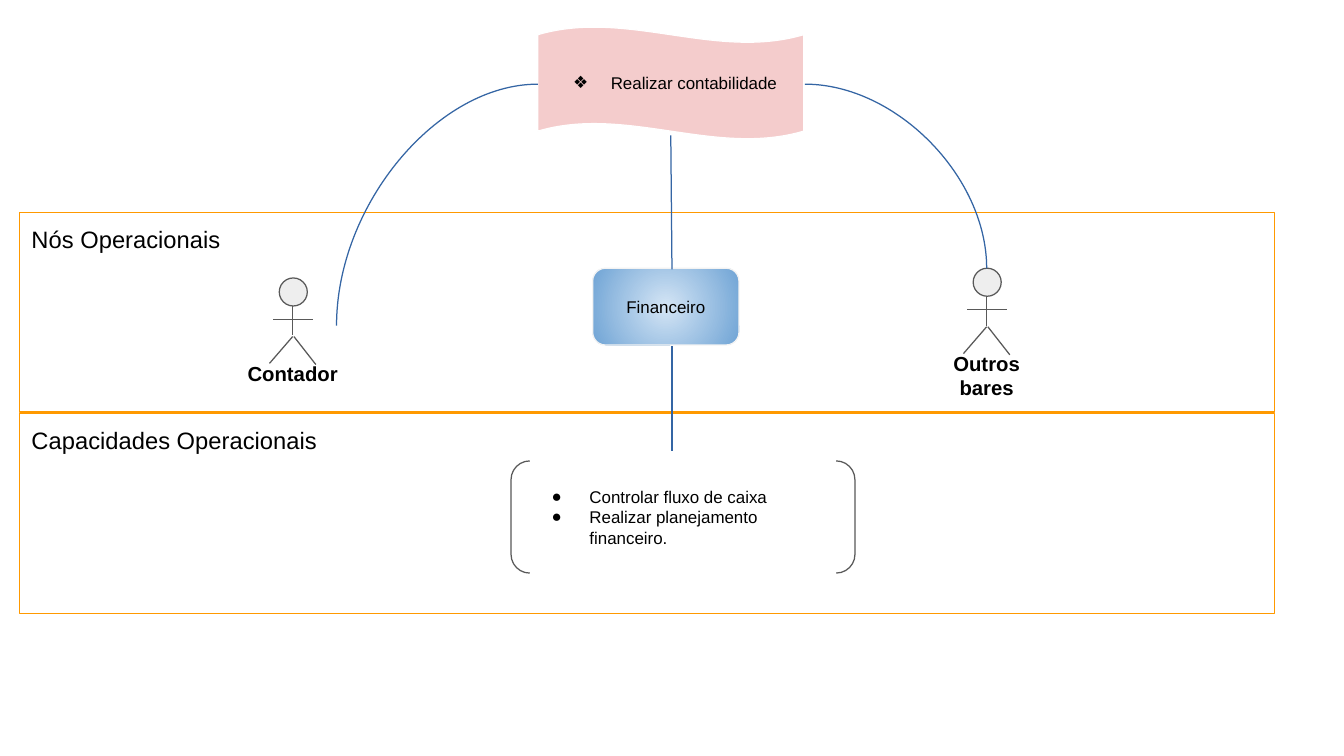
from pptx import Presentation
from pptx.util import Inches, Pt
from pptx.dml.color import RGBColor
from pptx.enum.shapes import MSO_SHAPE as SHAPE, MSO_CONNECTOR as LINK
from pptx.enum.text import PP_ALIGN as ALIGN, MSO_ANCHOR as ANCHOR
from pptx.oxml.ns import qn
from lxml.etree import SubElement

FONT = "Arial"
BLACK = RGBColor(0, 0, 0)
WHITE = RGBColor(255, 255, 255)
ORANGE = RGBColor(0xFF, 0x99, 0x00)
PINK = RGBColor(0xF4, 0xCC, 0xCC)
GRAY = RGBColor(0x59, 0x59, 0x59)
PALE = RGBColor(0xEE, 0xEE, 0xEE)
MIST = RGBColor(0xF3, 0xF3, 0xF3)
BLUE = RGBColor(0x34, 0x65, 0xA4)
LIGHT = RGBColor(0xD4, 0xE5, 0xF5)
SKY = RGBColor(0x70, 0xA4, 0xD5)
THIN = Pt(0.74)


def write(shape, text, size, align=ALIGN.LEFT, anchor=ANCHOR.MIDDLE, bold=False):
    frame = shape.text_frame
    frame.word_wrap = True
    frame.vertical_anchor = anchor
    frame.margin_left = frame.margin_right = Inches(0.1)
    frame.margin_top = frame.margin_bottom = Inches(0.1)
    frame.text = text
    for para in frame.paragraphs:
        para.alignment = align
        for run in para.runs:
            run.font.name = FONT
            run.font.size = Pt(size)
            run.font.bold = bold
            run.font.color.rgb = BLACK


def bullet(shape, mark):
    for para in shape.text_frame.paragraphs:
        props = para._p.get_or_add_pPr()
        props.set("marL", str(Inches(0.5)))
        props.set("indent", str(Inches(-0.31)))
        SubElement(props, qn("a:buFont"), typeface=FONT)
        SubElement(props, qn("a:buChar"), char=mark)


def draw(shapes, kind, left, top, width, height, line, fill=None, adj=None):
    shape = shapes.add_shape(kind, Inches(left), Inches(top), Inches(width), Inches(height))
    shape.shadow.inherit = False
    shape.line.color.rgb = line
    shape.line.width = THIN
    if fill is None:
        shape.fill.background()
    else:
        shape.fill.solid()
        shape.fill.fore_color.rgb = fill
    if adj is not None:
        shape.adjustments[0] = adj
    return shape


def glow(shape, inner, outer):
    fill = shape.fill
    fill.gradient()
    for stop, color, place in zip(fill.gradient_stops, (inner, outer), (0, 1)):
        stop.color.rgb = color
        stop.position = place
    grad = shape._element.spPr.find(qn("a:gradFill"))
    grad.remove(grad.find(qn("a:lin")))
    circle = SubElement(grad, qn("a:path"), path="circle")
    SubElement(circle, qn("a:fillToRect"), l="50000", t="50000", r="50000", b="50000")


def link(shapes, x1, y1, x2, y2, color, kind=LINK.STRAIGHT):
    line = shapes.add_connector(kind, Inches(x1), Inches(y1), Inches(x2), Inches(y2))
    line.line.color.rgb = color
    line.line.width = THIN
    props = line._element.spPr
    SubElement(props, qn("a:effectLst"))
    if kind == LINK.CURVE:
        props.find(qn("a:prstGeom")).set("prst", "curvedConnector2")


def lane(shapes, top, title):
    box = draw(shapes, SHAPE.RECTANGLE, 0.16, top, 10.29, 1.64, ORANGE)
    write(box, title, 14, anchor=ANCHOR.TOP)


def actor(shapes, mid, top, name):
    parts = shapes.add_group_shape().shapes
    draw(parts, SHAPE.FLOWCHART_CONNECTOR, mid - 0.11, top, 0.23, 0.23, GRAY, PALE)
    limbs = [(0, 0.23, 0, 0.47), (-0.16, 0.34, 0.17, 0.34),
             (0, 0.48, -0.19, 0.7), (0.01, 0.48, 0.19, 0.71)]
    for x1, y1, x2, y2 in limbs:
        link(parts, mid + x1, top + y1, mid + x2, top + y2, GRAY)
    label = parts.add_textbox(Inches(mid - 0.61), Inches(top + 0.58), Inches(1.22), Inches(0.41))
    write(label, name, 12, ALIGN.CENTER, ANCHOR.TOP, True)


def main():
    deck = Presentation()
    deck.slide_width = Inches(11.02)
    deck.slide_height = Inches(6.2)
    shapes = deck.slides.add_slide(deck.slide_layouts[6]).shapes

    lane(shapes, 1.74, "Nós Operacionais")
    lane(shapes, 3.39, "Capacidades Operacionais")

    goal = draw(shapes, SHAPE.WAVE, 4.41, 0.22, 2.18, 0.92, WHITE, PINK, 0.07)
    write(goal, "Realizar contabilidade", 10)
    bullet(goal, "❖")

    skills = draw(shapes, SHAPE.DOUBLE_BRACKET, 4.19, 3.78, 2.82, 0.92, GRAY, adj=0.167)
    write(skills, "Controlar fluxo de caixa\nRealizar planejamento financeiro.", 10)
    bullet(skills, "●")

    node = draw(shapes, SHAPE.ROUNDED_RECTANGLE, 4.86, 2.2, 1.2, 0.63, MIST, adj=0.167)
    glow(node, LIGHT, SKY)
    write(node, "Financeiro", 10, ALIGN.CENTER)

    actor(shapes, 2.4, 2.28, "Contador")
    actor(shapes, 8.09, 2.2, "Outros bares")

    link(shapes, 5.5, 1.11, 5.51, 2.21, BLUE)
    link(shapes, 5.51, 2.84, 5.51, 3.7, BLUE)
    link(shapes, 4.41, 0.69, 2.76, 2.67, BLUE, LINK.CURVE)
    link(shapes, 6.6, 0.69, 8.09, 2.2, BLUE, LINK.CURVE)

    deck.save("out.pptx")


main()
